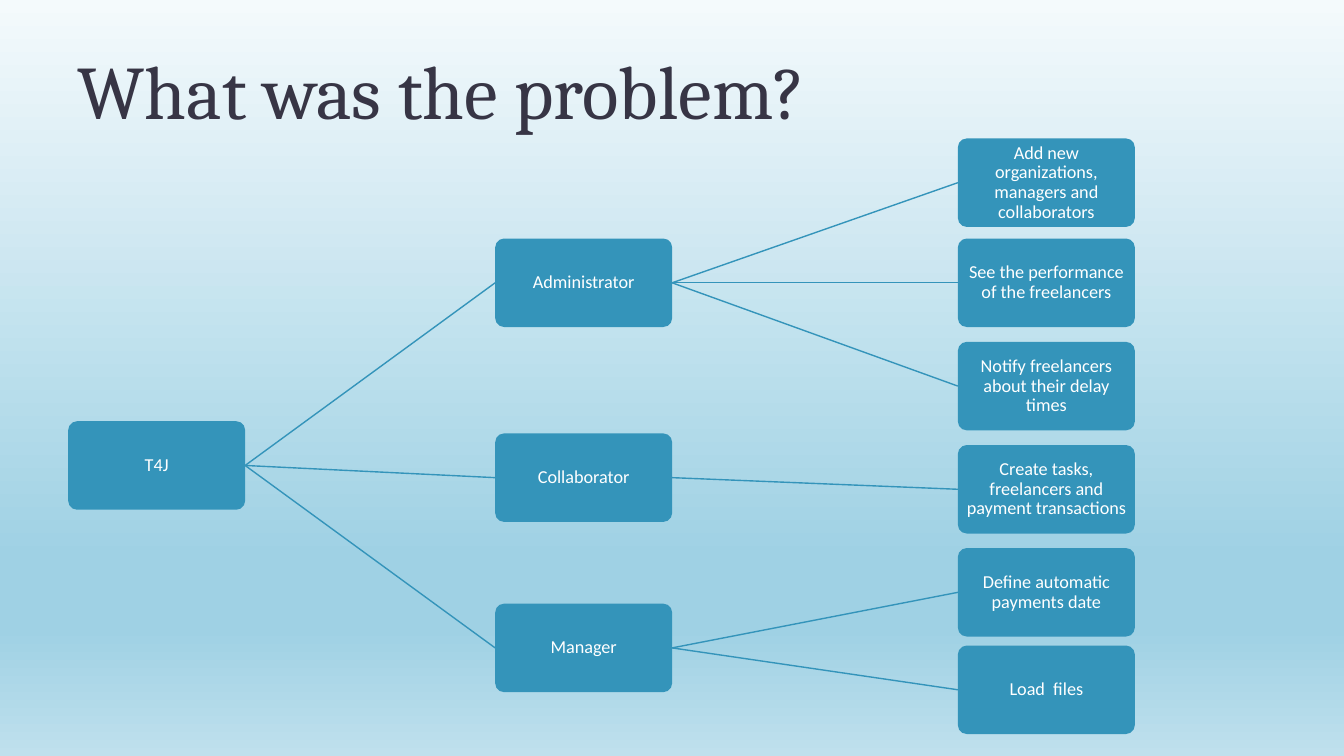
from lxml import etree
from pptx import Presentation
from pptx.dml.color import RGBColor
from pptx.enum.shapes import MSO_CONNECTOR, MSO_SHAPE
from pptx.enum.text import MSO_ANCHOR, PP_ALIGN
from pptx.oxml.ns import qn
from pptx.util import Pt

BOX, LINE = MSO_SHAPE.ROUNDED_RECTANGLE, MSO_CONNECTOR.STRAIGHT
MID, LOW = MSO_ANCHOR.MIDDLE, MSO_ANCHOR.BOTTOM
LEFT, CENTER = PP_ALIGN.LEFT, PP_ALIGN.CENTER

# Content: each node is (text, top, children)
TITLE = "What was the problem?"
TREE = ("T4J", 300.9, [
    ("Administrator", 170.4, [
        ("Add new organizations, managers and collaborators", 98.9, []),
        ("See the performance of the freelancers", 170.4, []),
        ("Notify freelancers about their delay times", 244.2, []),
    ]),
    ("Collaborator", 309.6, [
        ("Create tasks, freelancers and payment transactions", 317.9, []),
    ]),
    ("Manager", 431.2, [
        ("Define automatic payments date", 391.5, []),
        ("Load  files", 461.1, []),
    ]),
])

# Look
BLUE = RGBColor(0x34, 0x94, 0xBA)
INK = RGBColor(0x37, 0x35, 0x45)
WHITE = RGBColor(0xFF, 0xFF, 0xFF)
PALE = RGBColor(0xF4, 0xFA, 0xFC)
SKY = RGBColor(0x9F, 0xD1, 0xE4)
MIST = RGBColor(0xBF, 0xE0, 0xED)
STOPS = [(0, PALE), (74, SKY), (83, SKY), (100, MIST)]
COLS = [48.7, 353.7, 684.2]
WIDE, HIGH = 126.4, 63.2


def write(frame, text, font, size, color, align, anchor, space):
    frame.word_wrap = True
    frame.vertical_anchor = anchor
    para = frame.paragraphs[0]
    para.alignment, para.line_spacing = align, space
    run = para.add_run()
    run.text = text
    run.font.name, run.font.size = font, Pt(size)
    run.font.color.rgb = color


def link(start, end):
    line = slide.shapes.add_connector(LINE, 0, 0, 0, 0)
    line.begin_connect(start, 3)
    line.end_connect(end, 1)
    line.line.color.rgb, line.line.width = BLUE, Pt(1)
    etree.SubElement(line._element.spPr, qn("a:effectLst"))


def draw(node, level=0):
    text, top, kids = node
    box = slide.shapes.add_shape(
        BOX, Pt(COLS[level]), Pt(top), Pt(WIDE), Pt(HIGH))
    box.adjustments[0] = 0.1
    box.shadow.inherit = False
    box.fill.solid()
    box.fill.fore_color.rgb = BLUE
    box.line.fill.background()
    frame = box.text_frame
    frame.margin_left = frame.margin_right = Pt(0.7)
    frame.margin_top = frame.margin_bottom = Pt(0.7)
    write(frame, text, "Calibri", 13, WHITE, CENTER, MID, 0.9)
    for kid in kids:
        link(box, draw(kid, level + 1))
    return box


deck = Presentation()
deck.slide_width, deck.slide_height = Pt(960), Pt(540)
slide = deck.slides.add_slide(deck.slide_layouts[5])

# Background, from top to bottom
fill = slide.background.fill
fill.gradient()
fill.gradient_angle = 270
stops = fill._fill._gradFill.find(qn("a:gsLst"))
for old in list(stops):
    stops.remove(old)
for spot, color in STOPS:
    stop = etree.SubElement(stops, qn("a:gs"), pos=str(spot * 1000))
    etree.SubElement(stop, qn("a:srgbClr"), val=str(color))

# Title
title = slide.shapes.title
title.left, title.top = Pt(48.2), Pt(15.1)
title.width, title.height = Pt(864), Pt(84.2)
write(title.text_frame, TITLE, "Cambria", 54, INK, LEFT, LOW, 0.8)

# Tree
draw(TREE)

deck.save("out.pptx")
